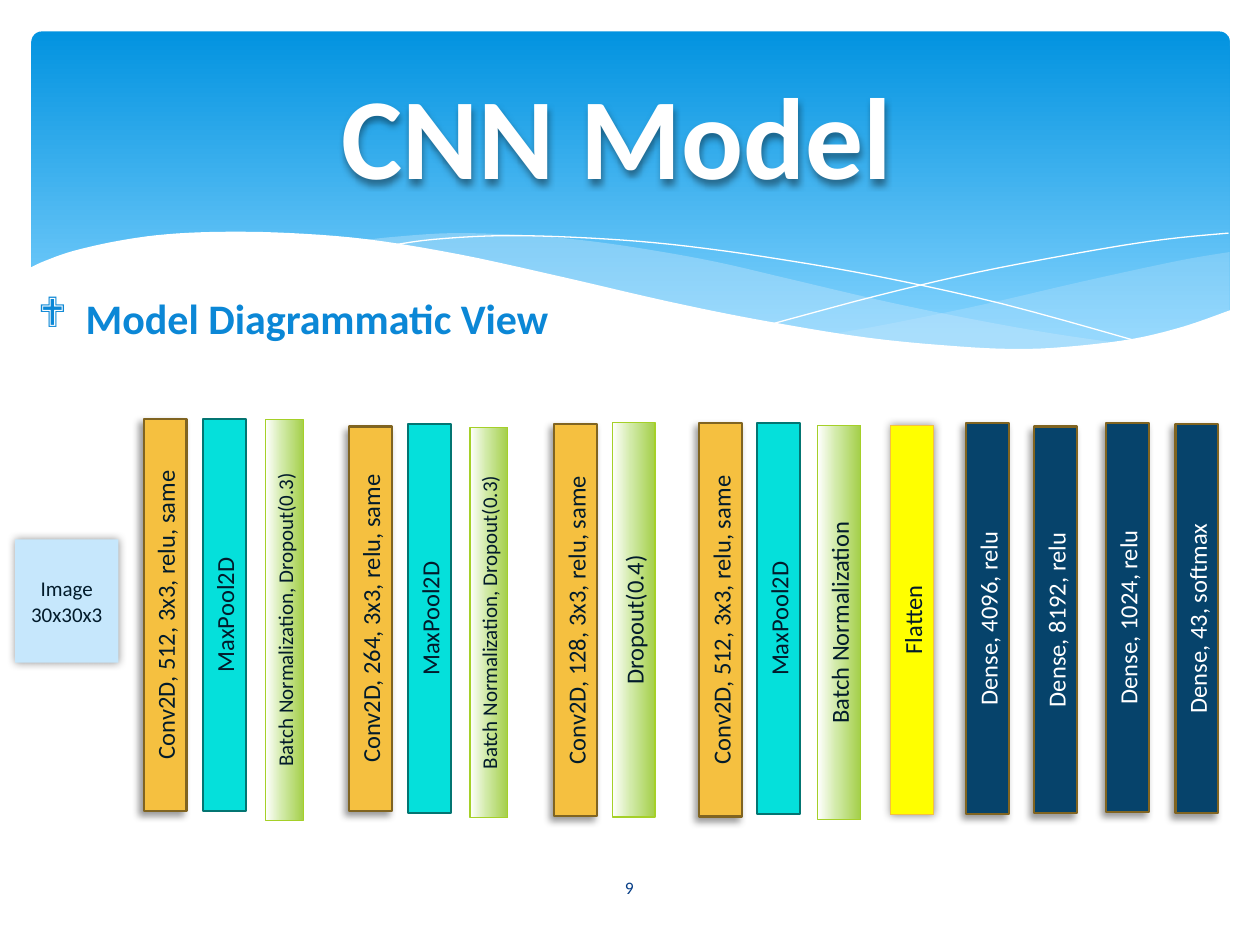
from lxml.etree import SubElement
from pptx import Presentation
from pptx.dml.color import RGBColor
from pptx.enum.shapes import MSO_SHAPE
from pptx.enum.text import MSO_ANCHOR, PP_ALIGN
from pptx.oxml import parse_xml
from pptx.oxml.ns import nsdecls, qn
from pptx.util import Inches, Pt

FONT = "Calibri"
INK = "021B2B"
WHITE = "FFFFFF"
LIME = [(0, WHITE), (44, "D1EAA7"), (100, "A4CF4A")]
DROP = (4, 3, 135)
GLOW = (5, 0, 0)
MID = 4.92

STYLES = {
    "conv": dict(fill="F5C040", line=("806421", 1.25), shade=DROP),
    "pool": dict(fill="05E0DB", line=("037572", 1.25)),
    "norm": dict(fill=LIME, line=("A5D028", 0.75)),
    "flat": dict(fill="FFFF00", line=("F5C040", 0.75), shade=GLOW),
    "dense": dict(fill="06436B", line=("806421", 1.25), shade=DROP),
}

BARS = [
    ("conv", 1.31, 4.88, 3.11, "Conv2D, 512, 3x3, relu, same"),
    ("pool", 1.78, 4.88, 3.11, "MaxPool2D"),
    ("norm", 2.26, MID, 3.18, "Batch Normalization, Dropout(0.3)"),
    ("conv", 2.94, 4.91, 3.05, "Conv2D, 264, 3x3, relu, same"),
    ("pool", 3.41, 4.91, 3.09, "MaxPool2D"),
    ("norm", 3.88, 4.94, 3.1, "Batch Normalization, Dropout(0.3)"),
    ("conv", 4.57, MID, 3.11, "Conv2D, 128, 3x3, relu, same"),
    ("norm", 5.03, MID, 3.13, "Dropout(0.4)"),
    ("conv", 5.72, MID, 3.12, "Conv2D, 512, 3x3, relu, same"),
    ("pool", 6.18, 4.91, 3.1, "MaxPool2D"),
    ("norm", 6.66, 4.94, 3.13, "Batch Normalization"),
    ("flat", 7.24, MID, 3.09, "Flatten"),
    ("dense", 7.84, 4.91, 3.1, "Dense, 4096, relu"),
    ("dense", 8.38, MID, 3.07, "Dense, 8192, relu"),
    ("dense", 8.95, 4.9, 3.09, "Dense, 1024, relu"),
    ("dense", 9.5, 4.91, 3.09, "Dense, 43, softmax"),
]

CREST = [(9.76, 2), (9.35, 2.07), (8.61, 2.23), (7.79, 2.42), (7.06, 2.57), (6.61, 2.65)]
BASIN = [(6.61, 2.65), (7.05, 2.71), (7.57, 2.76), (8.14, 2.78), (8.63, 2.75),
         (9.13, 2.67), (9.49, 2.57), (9.76, 2.47)]
UPPER = [(8.93, 2.73), (8.37, 2.65), (7.75, 2.54), (7.06, 2.4), (6.29, 2.22), (5.69, 2.08),
         (5.14, 1.98), (4.65, 1.91), (4.2, 1.87), (3.61, 1.85), (3.13, 1.88), (2.86, 1.91)]
LOWER = [(2.86, 1.91), (3.42, 1.99), (4.04, 2.11), (4.49, 2.22), (5.3, 2.4), (6.01, 2.55),
         (6.65, 2.66), (7.22, 2.74), (7.85, 2.78), (8.38, 2.78), (8.93, 2.73)]
FALL = [(3.09, 1.95), (3.44, 1.9), (4.01, 1.87), (4.69, 1.89), (5.33, 1.94), (6.08, 2.04),
        (6.95, 2.19), (7.95, 2.41), (9.07, 2.72)]
RISE = [(6.13, 2.57), (6.95, 2.35), (7.76, 2.16), (8.66, 1.99), (9.24, 1.9), (9.75, 1.85)]
SHORE = [(9.77, 2.46), (9.4, 2.59), (8.99, 2.69), (8.5, 2.75), (8.09, 2.77), (7.61, 2.75),
         (6.88, 2.68), (6.03, 2.54), (5.29, 2.39), (4.47, 2.2), (3.65, 2.02), (2.92, 1.9),
         (2.3, 1.85), (1.77, 1.84), (1.32, 1.86), (0.95, 1.91), (0.59, 1.99), (0.36, 2.07),
         (0.23, 2.13)]


def tint(code):
    return RGBColor.from_string(code)


def curve(knots, steps=5):
    ends = [knots[0], *knots, knots[-1]]
    dots = []
    for a, b, c, d in zip(ends, ends[1:], ends[2:], ends[3:]):
        for n in range(steps):
            t = n / steps
            dots.append(tuple(
                q + t / 2 * (r - p + t * (2 * p - 5 * q + 4 * r - s + t * (3 * (q - r) + s - p)))
                for p, q, r, s in zip(a, b, c, d)))
    return dots + [knots[-1]]


def blend(shape, stops):
    props = shape._element.spPr
    marks = "".join(f'<a:gs pos="{at * 1000}"><a:srgbClr val="{code}"/></a:gs>'
                    for at, code in stops)
    grad = parse_xml(f'<a:gradFill {nsdecls("a")} rotWithShape="1"><a:gsLst>{marks}</a:gsLst>'
                     '<a:lin ang="5400000" scaled="0"/></a:gradFill>')
    props.find(qn("a:prstGeom")).addnext(grad)


def cast(shape, blur, dist, turn):
    shape.shadow.inherit = False
    glow = shape._element.spPr.find(qn("a:effectLst"))
    drop = SubElement(glow, qn("a:outerShdw"), blurRad=str(Pt(blur)), dist=str(Pt(dist)),
                      dir=str(turn * 60000), algn="ctr", rotWithShape="0")
    shade = SubElement(drop, qn("a:srgbClr"), val="000000")
    SubElement(shade, qn("a:alpha"), val="40000")


def paint(shape, fill=None, line=None, shade=None, alpha=None):
    shape.shadow.inherit = False
    if isinstance(fill, list):
        blend(shape, fill)
    elif fill:
        shape.fill.solid()
        shape.fill.fore_color.rgb = tint(fill)
        if alpha:
            node = shape._element.spPr.find(".//" + qn("a:srgbClr"))
            SubElement(node, qn("a:alpha"), val=str(alpha * 1000))
    else:
        shape.fill.background()
    if line:
        shape.line.color.rgb = tint(line[0])
        shape.line.width = Pt(line[1])
    else:
        shape.line.fill.background()
    if shade:
        cast(shape, *shade)


def write(shape, text, size=14, ink=INK, bold=False, align=PP_ALIGN.CENTER,
          wrap=True, pad=0.1, mark=None):
    frame = shape.text_frame
    frame.word_wrap = wrap
    frame.vertical_anchor = MSO_ANCHOR.MIDDLE
    frame.margin_left = frame.margin_right = Inches(pad)
    frame.margin_top = frame.margin_bottom = 0
    line = frame.paragraphs[0]
    line.text = text
    line.alignment = align
    line.space_before = Pt(0)
    if mark:
        props = line._p.get_or_add_pPr()
        props.set("marL", str(Inches(0.38)))
        props.set("indent", str(-Inches(0.38)))
        SubElement(props, qn("a:buFont"), typeface="Wingdings")
        SubElement(props, qn("a:buChar"), char=mark)
    font = line.runs[0].font
    font.name, font.size, font.bold = FONT, Pt(size), bold
    font.color.rgb = tint(ink)


def place(shape, left, top, width, height):
    shape.left, shape.top = Inches(left), Inches(top)
    shape.width, shape.height = Inches(width), Inches(height)


def block(slide, kind, left, top, width, height, **look):
    shape = slide.shapes.add_shape(kind, *map(Inches, (left, top, width, height)))
    paint(shape, **look)
    return shape


def wave(slide, dots, close=True, **look):
    spots = [(Inches(x), Inches(y)) for x, y in dots]
    pen = slide.shapes.build_freeform(*spots[0])
    pen.add_line_segments(spots[1:], close=close)
    paint(pen.convert_to_shape(), **look)


def banner(slide):
    sky = block(slide, MSO_SHAPE.ROUNDED_RECTANGLE, 0.25, 0.25, 9.51, 2.7,
                fill=[(0, "0293E0"), (90, "83D3FE")])
    sky.adjustments[0] = 0.03
    wave(slide, curve(CREST) + curve(BASIN), fill="C6E7FC", alpha=29)
    wave(slide, curve(UPPER) + curve(LOWER), fill="C6E7FC", alpha=40)
    for knots in (FALL, RISE):
        wave(slide, curve(knots), close=False, line=(WHITE, 0))
    wave(slide, curve(SHORE) + [(0.23, 3.29), (9.77, 3.29)], fill=WHITE)


def layer(slide, kind, mid, high, span, text):
    small = "Dropout(0.3)" in text
    girth = 0.3 if small else 0.34
    bar = block(slide, MSO_SHAPE.RECTANGLE, mid - span / 2, high - girth / 2, span, girth,
                **STYLES[kind])
    bar.rotation = 270
    write(bar, text, size=12 if small else 14, ink=WHITE if kind == "dense" else INK)


def main():
    deck = Presentation()
    deck.slide_width, deck.slide_height = Inches(10), Inches(7.5)
    slide = deck.slides.add_slide(deck.slide_layouts[1])
    title, body = slide.placeholders
    banner(slide)

    slide.shapes._spTree.append(title._element)
    place(title, 0.5, 0.37, 9, 1.37)
    write(title, "CNN Model ", size=66, ink=WHITE, bold=True)
    cast(title, 4, 3, 90)

    image = block(slide, MSO_SHAPE.RECTANGLE, 0.12, 4.28, 0.82, 0.98,
                  fill="C6E7FC", shade=GLOW)
    write(image, "Image 30x30x3", size=12, pad=0.05)
    for bar in BARS:
        layer(slide, *bar)

    slide.shapes._spTree.append(body._element)
    place(body, 0.2, 2.27, 4.48, 0.5)
    write(body, "Model Diagrammatic View", size=24, ink="0B87D6", bold=True,
          align=PP_ALIGN.LEFT, wrap=False, mark="❖")

    page = slide.shapes.add_textbox(*map(Inches, (4.36, 6.84, 1.27, 0.4)))
    write(page, "9", size=10, ink="073E87")
    deck.save("out.pptx")


if __name__ == "__main__":
    main()
